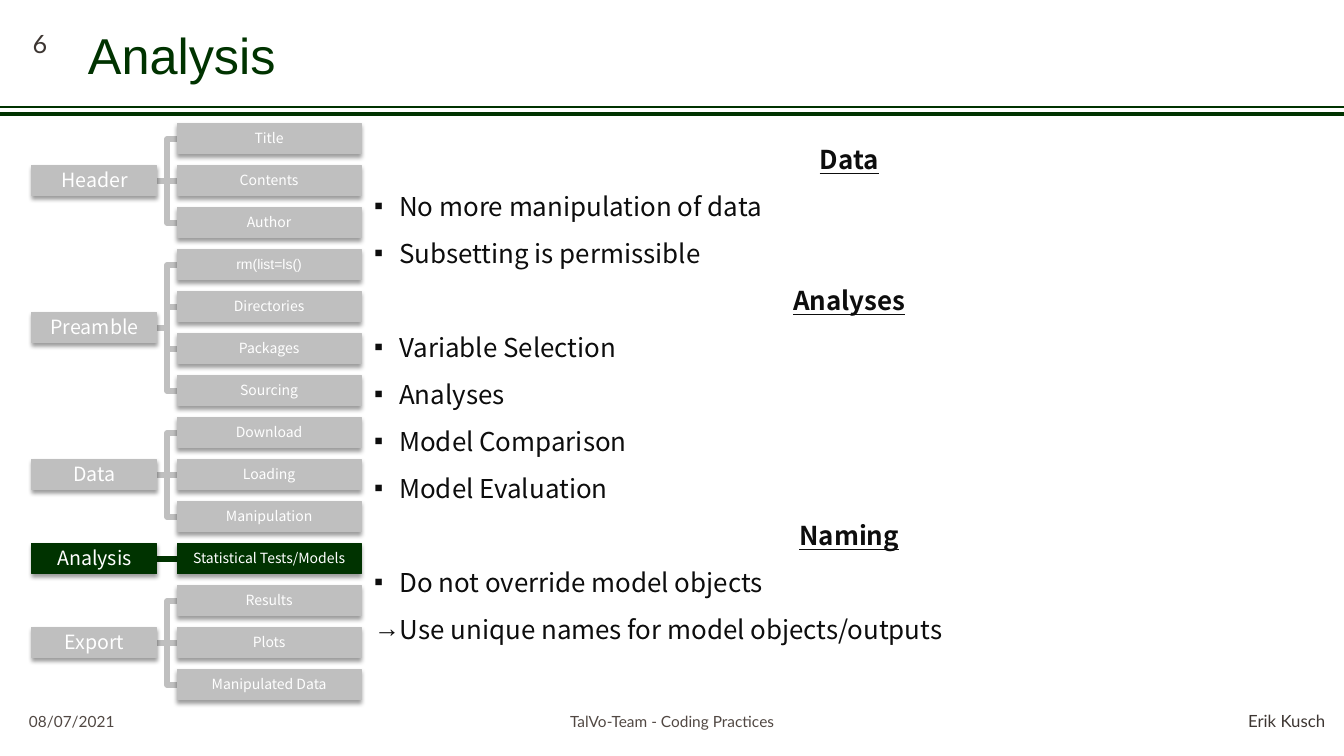
"""Build the Analysis slide: an outline of script parts beside its key points."""
import lxml.etree
import pptx
import pptx.dml.color
import pptx.enum.shapes
import pptx.enum.text
import pptx.oxml
import pptx.oxml.ns
import pptx.util

PX = 914400 / 100.8
SANS = "Noto Sans CJK SC"
GREEN, GREY = "003300", "BFBFBF"
ALIGN = pptx.enum.text.PP_ALIGN
LINK = pptx.enum.shapes.MSO_CONNECTOR.STRAIGHT
RECT = pptx.enum.shapes.MSO_SHAPE.RECTANGLE
qn = pptx.oxml.ns.qn

deck = pptx.Presentation()
deck.slide_width = pptx.util.Inches(13.33)
deck.slide_height = pptx.util.Inches(7.5)
shapes = deck.slides.add_slide(deck.slide_layouts[6]).shapes


def paint(item, color, width=None):
    """Colour a font, fill or line, and set the width of a line."""
    if width:
        item.width = pptx.util.Pt(width)
        item = item.fill
    if hasattr(item, "solid"):
        item.solid()
        item = item.fore_color
    else:
        item = item.color
    item.rgb = pptx.dml.color.RGBColor.from_string(color)


def write(shape, text, size, font, color, align, side=0, edge=5):
    """Put middle-anchored text in a shape."""
    frame = shape.text_frame
    frame.text = text
    frame.word_wrap = True
    frame.vertical_anchor = pptx.enum.text.MSO_ANCHOR.MIDDLE
    frame.margin_left = frame.margin_right = int(side * PX)
    frame.margin_top = frame.margin_bottom = int(edge * PX)
    for para in frame.paragraphs:
        para.alignment = align
        for run in para.runs:
            run.font.size = pptx.util.Pt(size)
            run.font.name = font
            paint(run.font, color)


lines = [(0, 114, 1344, 114, GREEN, 3), (0, 107, 1344, 107, GREEN, 1)]

labels = [
    ("08/07/2021", 19, 701, 202, 40, 11, "Lato", "514843", ALIGN.LEFT, 10),
    ("Erik Kusch", 1123, 701, 202, 40, 12, "Lato", "3D3632", ALIGN.RIGHT, 0),
    ("6", 19, 23, 42, 41, 18, "Lato", "3D3632", ALIGN.CENTER, 0),
    ("Analysis", 78, 8, 1247, 92, 36, "Arial", GREEN, ALIGN.LEFT, 10),
    ("TalVo-Team - Coding Practices", 240, 701, 864, 40, 11, "Lato", "514843",
     ALIGN.CENTER, 10),
]
for text, left, top, wide, high, *style in labels:
    box = shapes.add_textbox(*[int(n * PX) for n in (left, top, wide, high)])
    write(box, text, *style)

parts = {
    "Header": ["Title", "Contents", "Author"],
    "Preamble": ["rm(list=ls()", "Directories", "Packages", "Sourcing"],
    "Data": ["Download", "Loading", "Manipulation"],
    "Analysis": ["Statistical Tests/Models"],
    "Export": ["Results", "Plots", "Manipulated Data"],
}
FIRST, STEP, HIGH = 139, 42, 30
boxes = []
row = 0
for part, steps in parts.items():
    color = GREEN if part == "Analysis" else GREY
    mids = [FIRST + STEP * (row + n) for n in range(len(steps))]
    hub = (mids[0] + mids[-1]) // 2
    boxes.append((part, 32, hub, 125, 14, SANS, color))
    for step, mid in zip(steps, mids):
        font = "Arial" if "(" in step else SANS
        boxes.append((step, 177, mid, 184, 10, font, color))
        if mid == hub:
            lines.append((157, hub, 177, hub, color, 3.78))
            continue
        bend = shapes.build_freeform(157, hub, scale=PX)
        bend.add_line_segments([(167, hub), (167, mid), (177, mid)], close=False)
        elbow = bend.convert_to_shape()
        elbow.shadow.inherit = False
        elbow.fill.background()
        paint(elbow.line, color, 3.78)
    row += len(steps)

for left, top, right, low, color, width in lines:
    line = shapes.add_connector(LINK, *[int(n * PX) for n in (left, top, right, low)])
    paint(line.line, color, width)
    lxml.etree.SubElement(line._element.spPr, qn("a:effectLst"))

SHADE = (
    f'<a:outerShdw {pptx.oxml.ns.nsdecls("a")} blurRad="39370" dist="25400" '
    'dir="5400000" rotWithShape="0"><a:srgbClr val="000000">'
    '<a:alpha val="38000"/></a:srgbClr></a:outerShdw>'
)
for text, left, mid, wide, size, font, color in boxes:
    place = (left, mid - HIGH // 2, wide, HIGH)
    box = shapes.add_shape(RECT, *[int(n * PX) for n in place])
    paint(box.fill, color)
    paint(box.line, color, 0.75)
    box.shadow.inherit = False
    glow = box._element.spPr.find(qn("a:effectLst"))
    glow.append(pptx.oxml.parse_xml(SHADE))
    write(box, text, size, font, "FFFFFF", ALIGN.CENTER, 1, 1)
    box.text_frame.paragraphs[0].line_spacing = 0.9

points = [
    ("", "Data"),
    ("▪", "No more manipulation of data"),
    ("▪", "Subsetting is permissible"),
    ("", "Analyses"),
    ("▪", "Variable Selection"),
    ("▪", "Analyses"),
    ("▪", "Model Comparison"),
    ("▪", "Model Evaluation"),
    ("", "Naming"),
    ("▪", "Do not override model objects"),
    ("→", "Use unique names for model objects/outputs"),
]
body = shapes.add_textbox(*[int(n * PX) for n in (374, 147, 950, 533)])
write(body, "\n".join(text for mark, text in points), 18.5, SANS, "0D0D0D", ALIGN.LEFT)
body.text_frame.vertical_anchor = pptx.enum.text.MSO_ANCHOR.TOP
for para, (mark, text) in zip(body.text_frame.paragraphs, points):
    para.line_spacing = 0.7
    para.space_before = pptx.util.Pt(18)
    if mark:
        props = para._p.get_or_add_pPr()
        props.set("marL", "228600")
        props.set("indent", "-228600")
        lxml.etree.SubElement(props, qn("a:buFont"), typeface="Arial")
        lxml.etree.SubElement(props, qn("a:buChar"), char=mark)
    else:
        para.alignment = ALIGN.CENTER
        para.runs[0].font.bold = True
        para.runs[0].font.underline = True

deck.save("out.pptx")
